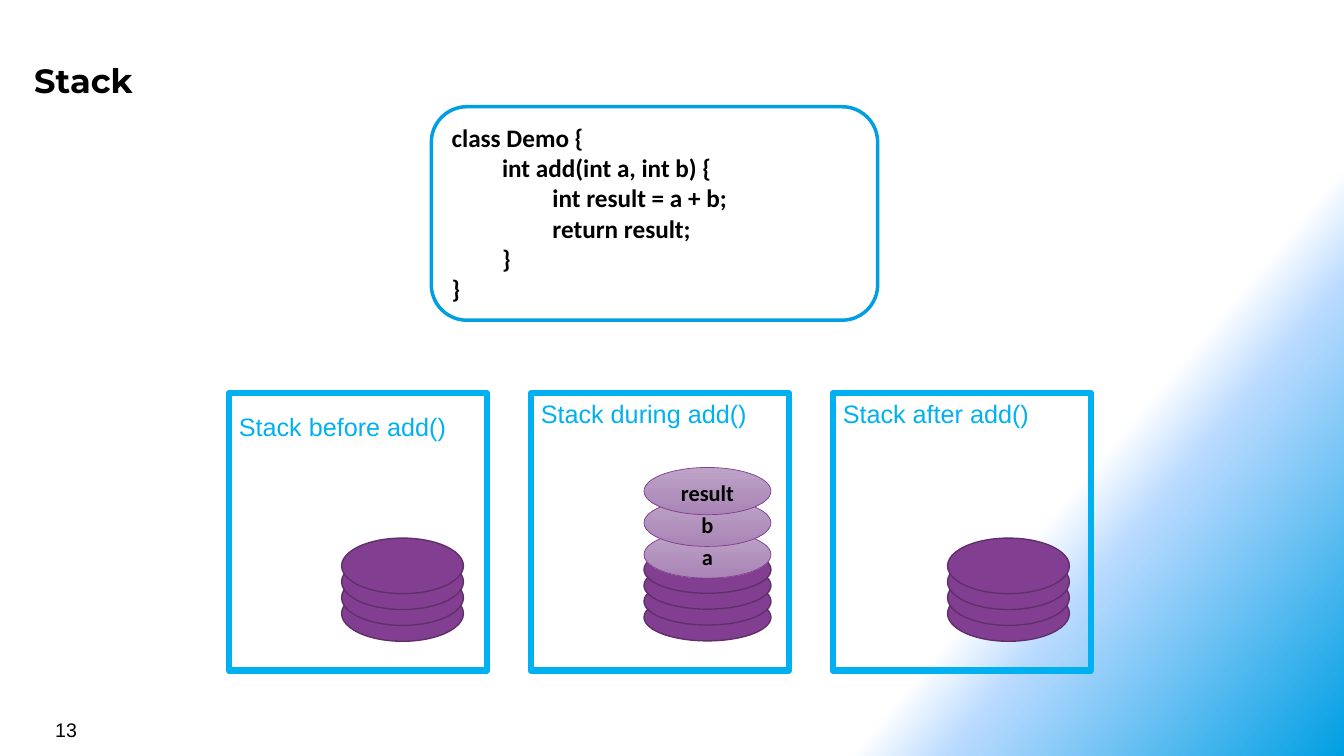
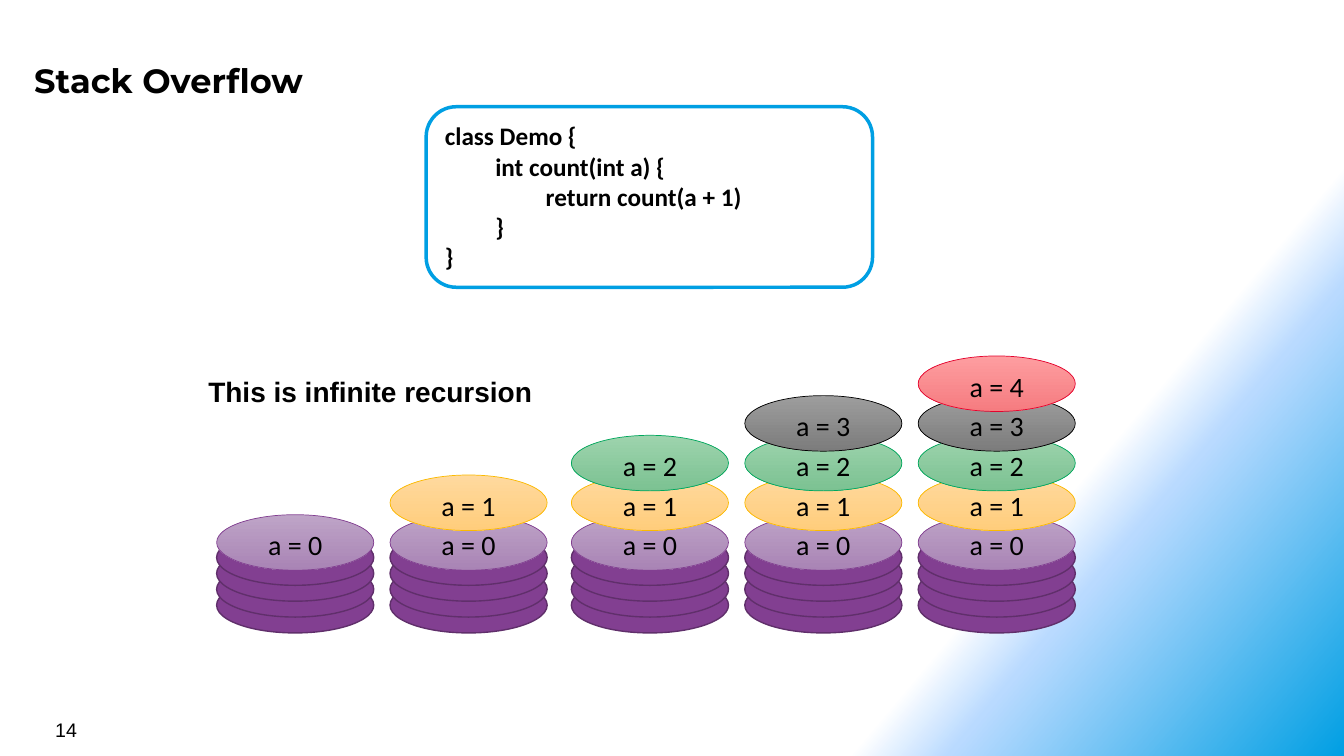
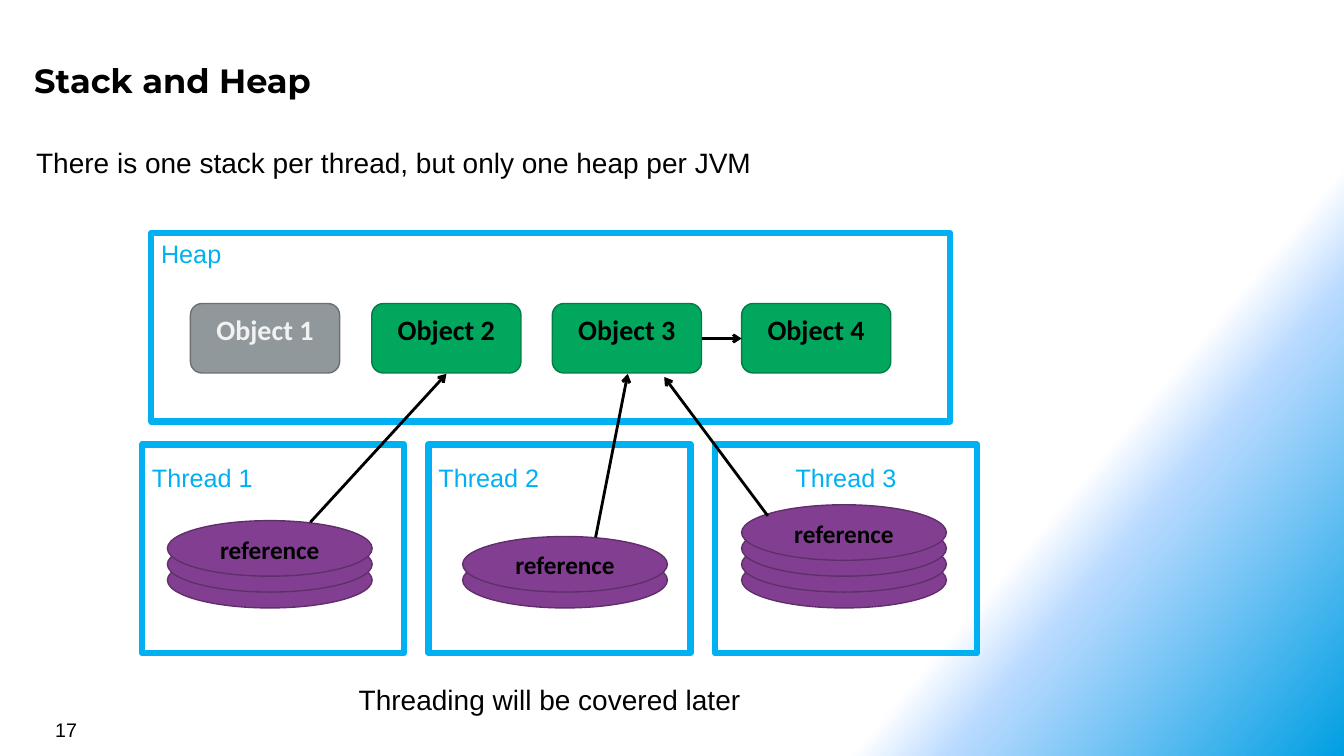
import pptx
import pptx.dml.color
import pptx.enum.shapes
import pptx.enum.text
import pptx.oxml
import pptx.oxml.ns
import pptx.util
import lxml.etree

Cm, Pt = pptx.util.Cm, pptx.util.Pt
RGB = pptx.dml.color.RGBColor.from_string
KIND = pptx.enum.shapes.MSO_SHAPE
ALIGN = pptx.enum.text.PP_ALIGN
A_NS = pptx.oxml.ns.nsdecls("a")

COLOURS = {
    "black": "000000", "code border": "009FE3", "panel": "00B0F0",
    "plate": "823F91", "plate edge": "602F6B",
    "live": "00A75D", "live edge": "007C45",
    "dead": "91989C", "dead edge": "6B7073", "dead text": "F2F2F2",
    "sky": "B9DAFF", "white": "FFFFFF",
    "violet top": "BEA4C7", "violet foot": "A984B5", "violet edge": "823F91",
    "amber top": "FFD99E", "amber foot": "FFCD7C", "amber edge": "FBBA00",
    "green top": "9DD3AD", "green foot": "7CC292", "green edge": "00A75D",
    "grey top": "9D9D9D", "grey foot": "7C7C7C", "grey edge": "000000",
    "red top": "FE9DA0", "red foot": "F57C80", "red edge": "E4032E",
}
PLATE_STEP = 0.4
PLATE_HEIGHT = 1.4
LABEL_DROP = 0.45


def draw(slide, kind, at, fill=None, edge=None, weight=1.0):
    """Add a shape (a text box if kind is None); a pair of fills is a gradient."""
    box = [Cm(length) for length in at]
    if kind is None:
        return slide.shapes.add_textbox(*box)
    shape = slide.shapes.add_shape(kind, *box)
    shape.shadow.inherit = False
    if fill is None:
        shape.fill.background()
    elif isinstance(fill, tuple):
        shape.fill.gradient()
        shape.fill.gradient_angle = 270
        for stop, colour, position in zip(shape.fill.gradient_stops, fill, (0, 1)):
            stop.color.rgb = RGB(COLOURS[colour])
            stop.position = position
    else:
        shape.fill.solid()
        shape.fill.fore_color.rgb = RGB(COLOURS[fill])
    shape.line.color.rgb = RGB(COLOURS[edge])
    shape.line.width = Pt(weight)
    return shape


def write(shape, text, size, font="Arial", colour="black", bold=False,
          align=ALIGN.LEFT, top=0.13):
    """Fill a shape with text, one paragraph a line, starting at its top."""
    frame = shape.text_frame
    frame.text = text
    frame.word_wrap = True
    frame.vertical_anchor = pptx.enum.text.MSO_ANCHOR.TOP
    frame.margin_top = Cm(top)
    for paragraph in frame.paragraphs:
        paragraph.alignment = align
        paragraph.font.name = font
        paragraph.font.size = Pt(size)
        paragraph.font.bold = bold
        paragraph.font.color.rgb = RGB(COLOURS[colour])


deck = pptx.Presentation()
deck.slide_width, deck.slide_height = Cm(33.87), Cm(19.05)

# Shared background on the master
backdrop = deck.slide_master.background.fill
backdrop.gradient()
backdrop.gradient_angle = 320
stop_list = deck.slide_master.element.find(".//" + pptx.oxml.ns.qn("a:gsLst"))
for stop in list(stop_list):
    stop_list.remove(stop)
for position, colour, opacity in ((75, "white", 100), (80, "sky", 50),
                                  (100, "code border", 100)):
    stop_list.append(pptx.oxml.parse_xml(
        f'<a:gs {A_NS} pos="{position * 1000}"><a:srgbClr val="{COLOURS[colour]}">'
        f'<a:alpha val="{opacity * 1000}"/></a:srgbClr></a:gs>'))

# Shared title and page number
slides = []
for title, number in (("Stack", "13"), ("Stack Overflow", "14"), ("Stack and Heap", "17")):
    slide = deck.slides.add_slide(deck.slide_layouts[6])
    heading = draw(slide, None, (0.66, 1.3, 31.14, 1.4))
    write(heading, title, 24, "Montserrat", bold=True, top=0.2)
    heading.text_frame.margin_left = Cm(0.2)
    write(draw(slide, None, (1.14, 17.96, 7.9, 0.84)), number, 14)
    slides.append(slide)
stack_slide, overflow_slide, heap_slide = slides

# Code listings
add_code = ("class Demo {\n\tint add(int a, int b) {\n\t\tint result = a + b;\n"
            "\t\treturn result;\n\t}\n}")
count_code = "class Demo {\n\tint count(int a) {\n\t\treturn count(a + 1)\n\t}\n}"
for slide, left, height, code in ((stack_slide, 10.87, 5.38, add_code),
                                  (overflow_slide, 10.74, 4.55, count_code)):
    listing = draw(slide, KIND.ROUNDED_RECTANGLE, (left, 2.69, 11.25, height),
                   edge="code border", weight=2.5)
    write(listing, code, 18, "Calibri", bold=True)

# Stack: before, during and after the call
for index, (label, drop, plate_left, plate_top, width, height, variables) in enumerate((
        ("Stack before add()", LABEL_DROP, 8.61, 14.76, 3.07, PLATE_HEIGHT, ()),
        ("Stack during add()", 0.13, 16.23, 14.96, 3.2, 1.19, ("a", "b", "result")),
        ("Stack after add()", 0.13, 23.88, 14.76, 3.07, PLATE_HEIGHT, ()))):
    panel = draw(stack_slide, KIND.RECTANGLE, (5.77 + 7.61 * index, 9.91, 6.5, 6.99),
                 edge="panel", weight=4.5)
    write(panel, label, 18, colour="panel", top=drop)
    for level in range(4):
        draw(stack_slide, KIND.OVAL,
             (plate_left, plate_top - PLATE_STEP * level, width, height),
             "plate", "plate edge")
    for level, variable in enumerate(variables):
        local = draw(stack_slide, KIND.OVAL,
                     (plate_left, 13.38 - 0.8 * level, width, height),
                     ("violet top", "violet foot"), "violet edge", 0.5)
        write(local, variable, 16, "Calibri", bold=True, align=ALIGN.CENTER)

# Stack overflow: one more frame in every column
frame_colours = ("violet", "amber", "green", "grey", "red")
for depth, left in enumerate((5.46, 9.83, 14.4, 18.77, 23.14), start=1):
    for level in range(4):
        draw(overflow_slide, KIND.OVAL,
             (left, 14.55 - PLATE_STEP * level, 3.96, PLATE_HEIGHT),
             "plate", "plate edge")
    for value, hue in enumerate(frame_colours[:depth]):
        call = draw(overflow_slide, KIND.OVAL,
                    (left, 12.97 - value, 3.96, PLATE_HEIGHT),
                    (f"{hue} top", f"{hue} foot"), f"{hue} edge", 0.5)
        write(call, f"a = {value}", 20, "Calibri", align=ALIGN.CENTER)
write(draw(overflow_slide, None, (5, 9.3, 9.37, 1.96)),
      "This is infinite recursion", 20, bold=True)

# Heap with its objects
write(draw(heap_slide, None, (0.66, 3.53, 31.8, 1.12)),
      "There is one stack per thread, but only one heap per JVM", 20)
heap = draw(heap_slide, KIND.RECTANGLE, (3.81, 5.87, 20.14, 4.75),
            edge="panel", weight=4.5)
write(heap, "Heap", 18, colour="panel")
for number, (left, state, ink) in enumerate((
        (4.8, "dead", "dead text"), (9.37, "live", "black"),
        (13.92, "live", "black"), (18.69, "live", "black")), start=1):
    heap_object = draw(heap_slide, KIND.ROUNDED_RECTANGLE, (left, 7.65, 3.76, 1.75),
                       state, f"{state} edge")
    write(heap_object, f"Object {number}", 20, "Calibri", ink, True, ALIGN.CENTER)

# Threads with their stacks
for index, (plate_left, plates, align) in enumerate((
        (4.22, 3, ALIGN.LEFT), (11.66, 2, ALIGN.LEFT), (18.69, 4, ALIGN.CENTER))):
    thread = draw(heap_slide, KIND.RECTANGLE, (3.58 + 7.22 * index, 11.2, 6.6, 5.26),
                  edge="panel", weight=4.5)
    write(thread, f"Thread {index + 1}", 18, colour="panel", align=align, top=LABEL_DROP)
    for level in range(plates):
        plate = draw(heap_slide, KIND.OVAL,
                     (plate_left, 13.92 - PLATE_STEP * level, 5.16, PLATE_HEIGHT),
                     "plate", "plate edge")
    write(plate, "reference", 18, "Calibri", bold=True, align=ALIGN.CENTER)

# References
for ends in ((17.7, 8.53, 18.69, 8.53), (7.82, 13.16, 11.25, 9.42),
             (15.01, 13.54, 15.82, 9.42), (19.35, 13, 16.74, 9.5)):
    reference = heap_slide.shapes.add_connector(
        pptx.enum.shapes.MSO_CONNECTOR.STRAIGHT, *[Cm(length) for length in ends])
    reference.line.color.rgb = RGB(COLOURS["black"])
    reference.line.width = Pt(2)
    lxml.etree.SubElement(reference.line._get_or_add_ln(),
                          pptx.oxml.ns.qn("a:tailEnd"), type="arrow")
    lxml.etree.SubElement(reference._element.spPr, pptx.oxml.ns.qn("a:effectLst"))
write(draw(heap_slide, None, (8.79, 17.07, 10.13, 1.12)),
      "Threading will be covered later", 20)

deck.save("out.pptx")
